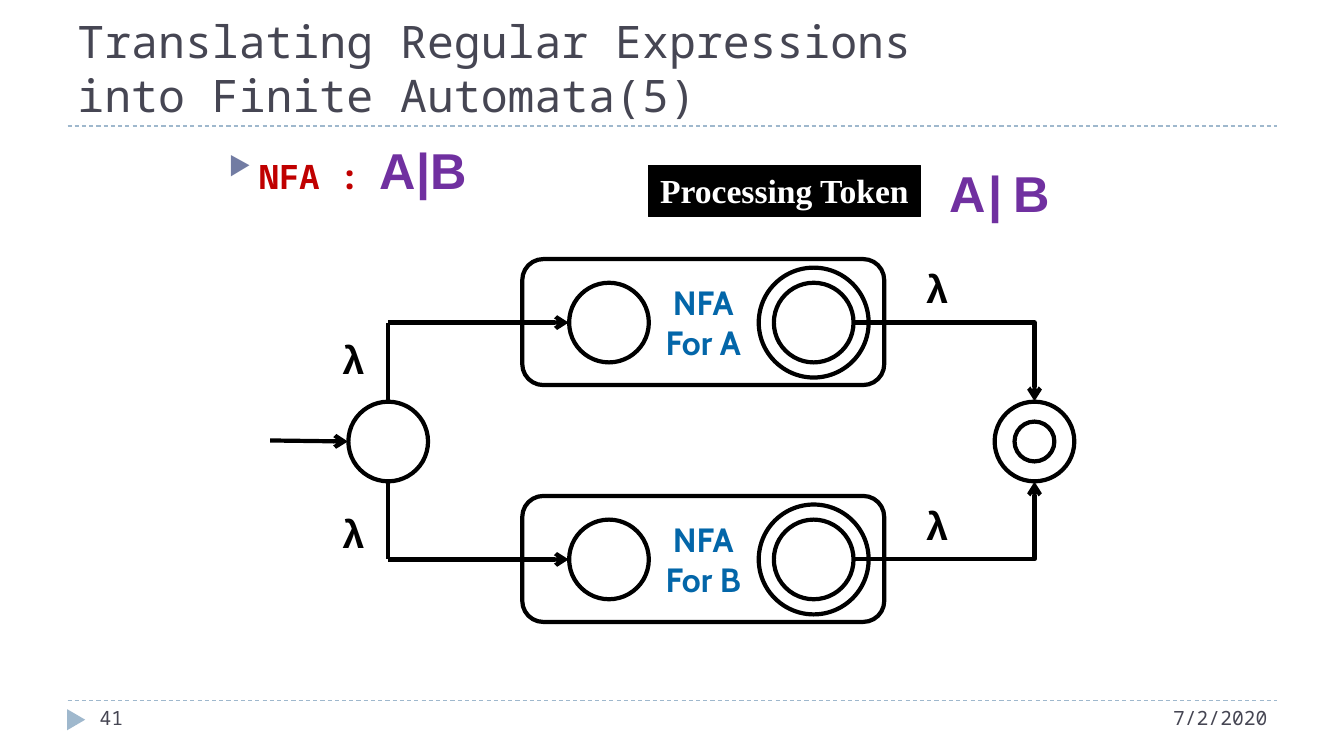
from lxml import etree
from pptx import Presentation
from pptx.dml.color import RGBColor
from pptx.enum.dml import MSO_LINE
from pptx.enum.shapes import MSO_CONNECTOR, MSO_SHAPE
from pptx.enum.text import MSO_ANCHOR, PP_ALIGN
from pptx.oxml.ns import qn
from pptx.util import Inches, Pt

STRAIGHT, ELBOW = MSO_CONNECTOR.STRAIGHT, MSO_CONNECTOR.ELBOW
OVAL, DONUT, RECT = MSO_SHAPE.OVAL, MSO_SHAPE.DONUT, MSO_SHAPE.RECTANGLE
ROUNDED, TRIANGLE = MSO_SHAPE.ROUNDED_RECTANGLE, MSO_SHAPE.ISOSCELES_TRIANGLE
LEFT, CENTER, RIGHT = PP_ALIGN.LEFT, PP_ALIGN.CENTER, PP_ALIGN.RIGHT
TOP, MIDDLE, BOTTOM = MSO_ANCHOR.TOP, MSO_ANCHOR.MIDDLE, MSO_ANCHOR.BOTTOM
DASH = MSO_LINE.DASH
MONO, SANS, SERIF, LABEL = "Noto Sans Mono", "Arial", "Times New Roman", "Cabin"
BLACK, WHITE, SLATE, PALE = "000000", "FFFFFF", "464653", "9FB8CD"
PURPLE, RED, BLUE, INDIGO = "7030A0", "C00000", "0366A9", "727CA3"
ENTRY_X, ACCEPT_X = 6.04, 8.07
START_X, FINAL_X, MIDDLE_Y = 3.85, 10.26, 4.38
RADIUS = 0.4


def color(value):
    return RGBColor.from_string(value)


class Diagram:
    """Draws automaton parts and text on one slide in a shared style."""

    def __init__(self, slide):
        self.shapes = slide.shapes
        self.stroke = 3

    def line(self, start, end, arrow=False, corner=False, ink=BLACK, width=None, dash=None):
        link = self.shapes.add_connector(
            ELBOW if corner else STRAIGHT, *[Inches(v) for v in (*start, *end)])
        link.line.color.rgb = color(ink)
        link.line.width = Pt(width or self.stroke)
        if dash:
            link.line.dash_style = dash
        properties = link._element.spPr
        if corner:
            properties.find(qn("a:prstGeom")).set("prst", "bentConnector2")
        if arrow:
            etree.SubElement(properties.find(qn("a:ln")), qn("a:tailEnd"), type="arrow")
        etree.SubElement(properties, qn("a:effectLst"))

    def shape(self, kind, box, fill=None, ink=BLACK, width=None):
        item = self.shapes.add_shape(kind, *[Inches(v) for v in box])
        item.shadow.inherit = False
        if fill:
            item.fill.solid()
            item.fill.fore_color.rgb = color(fill)
        else:
            item.fill.background()
        if ink:
            item.line.color.rgb = color(ink)
            item.line.width = Pt(width or self.stroke)
        else:
            item.line.fill.background()
        return item

    def circle(self, x, y, size=0.79, fill=WHITE, kind=OVAL):
        self.shape(kind, (x - size / 2, y - size / 2, size, size), fill)

    def add_words(self, paragraph, text, size, font, ink, bold=False):
        run = paragraph.add_run()
        run.text = text
        run.font.size = Pt(size)
        run.font.name = font
        run.font.bold = bold
        run.font.color.rgb = color(ink)

    def fill_text(self, item, lines, size, font, ink, bold=False,
                  align=LEFT, anchor=TOP, wrap=True):
        frame = item.text_frame
        frame.word_wrap = wrap
        frame.vertical_anchor = anchor
        for index, words in enumerate(lines):
            paragraph = frame.add_paragraph() if index else frame.paragraphs[0]
            paragraph.alignment = align
            self.add_words(paragraph, words, size, font, ink, bold)

    def text(self, box, lines, size, font, ink, **style):
        item = self.shapes.add_textbox(*[Inches(v) for v in box])
        self.fill_text(item, lines, size, font, ink, **style)

    def bullet(self, box, runs):
        frame = self.shapes.add_textbox(*[Inches(v) for v in box]).text_frame
        frame.word_wrap = True
        paragraph = frame.paragraphs[0]
        properties = paragraph._p.get_or_add_pPr()
        properties.set("marL", str(Inches(0.3)))
        properties.set("indent", str(Inches(-0.3)))
        tint = etree.SubElement(properties, qn("a:buClr"))
        etree.SubElement(tint, qn("a:srgbClr"), val=INDIGO)
        etree.SubElement(properties, qn("a:buSzPct"), val="76000")
        etree.SubElement(properties, qn("a:buChar"), char="▶")
        for run in runs:
            self.add_words(paragraph, *run, bold=True)

    def automaton(self, y, name):
        block = self.shape(ROUNDED, (5.18, y - 0.63, 3.59, 1.25))
        self.fill_text(block, ["NFA", f"For {name}"], 24, LABEL, BLUE,
                       bold=True, align=CENTER, anchor=MIDDLE)
        self.circle(ENTRY_X, y)
        self.circle(ACCEPT_X, y, 1.09, None)
        self.circle(ACCEPT_X, y)


def main():
    deck = Presentation()
    deck.slide_width, deck.slide_height = Inches(13.33), Inches(7.5)
    diagram = Diagram(deck.slides.add_slide(deck.slide_layouts[6]))

    for rule_y in (6.95, 1.25):
        diagram.line((0.67, rule_y), (12.67, rule_y), ink=PALE, width=0.75, dash=DASH)
    marker = diagram.shape(TRIANGLE, (0.65, 7.05, 0.21, 0.18), PALE, None)
    marker.rotation = 90
    diagram.text((0.67, 0.17, 12, 1.08),
                 ["Translating Regular Expressions", "into Finite Automata(5)"],
                 32, MONO, SLATE, anchor=BOTTOM)
    diagram.text((9.33, 6.95, 3.34, 0.4), ["7/2/2020"], 14, MONO, SLATE, align=RIGHT)
    diagram.text((0.89, 6.95, 2.89, 0.4), ["41"], 14, MONO, SLATE)

    diagram.bullet((2.17, 1.33, 9, 5.4),
                   [("NFA : ", 24, MONO, RED), ("Α|Β", 36, SANS, PURPLE)])
    token = diagram.shape(RECT, (6.43, 1.64, 2.7, 0.51), BLACK, width=0.75)
    diagram.fill_text(token, ["Processing Token"], 24, SERIF, WHITE,
                      bold=True, align=CENTER, wrap=False)
    for x, width, symbol in ((9.32, 0.57, "Α"), (9.71, 0.3, "|"), (9.95, 0.54, "Β")):
        diagram.text((x, 1.56, width, 0.71), [symbol], 36, SANS, PURPLE,
                     bold=True, wrap=False)

    diagram.circle(START_X, MIDDLE_Y)
    diagram.circle(FINAL_X, MIDDLE_Y, kind=DONUT)
    diagram.line((2.68, 4.37), (START_X - RADIUS, MIDDLE_Y), arrow=True)
    for name, y, side in (("A", 3.2, -1), ("B", 5.55, 1)):
        edge_y = MIDDLE_Y + side * RADIUS
        diagram.automaton(y, name)
        diagram.line((START_X, edge_y), (START_X, y))
        diagram.line((START_X, y), (ENTRY_X - RADIUS, y), arrow=True)
        diagram.line((ACCEPT_X + RADIUS, y), (FINAL_X, edge_y), arrow=True, corner=True)
    for x, y in ((3.3, 3.28), (9.09, 2.57), (3.3, 5), (9.09, 4.92)):
        diagram.text((x, y, 0.42, 0.57), ["λ"], 28, SANS, BLACK, bold=True, wrap=False)

    deck.save("out.pptx")


if __name__ == "__main__":
    main()
